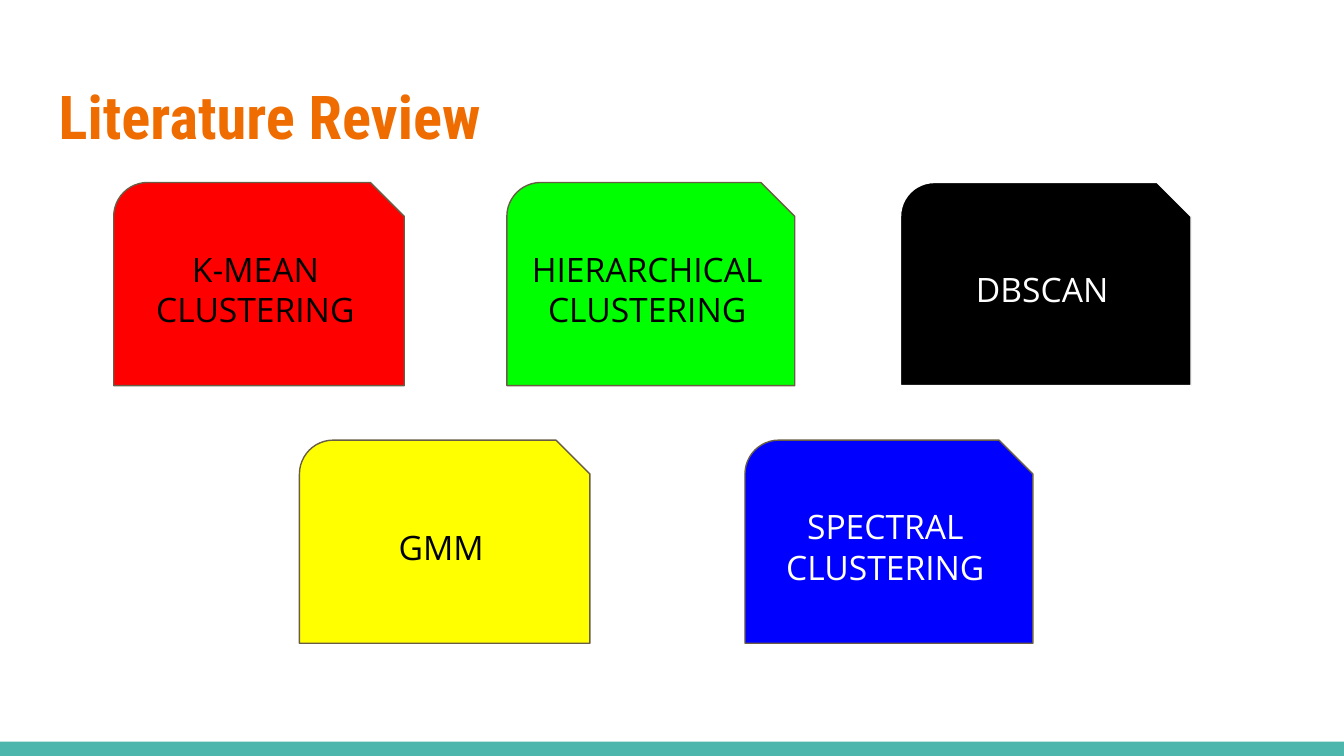
from pptx import Presentation
from pptx.dml.color import RGBColor
from pptx.enum.shapes import MSO_SHAPE as Shape
from pptx.enum.text import MSO_ANCHOR as Anchor, PP_ALIGN as Align
from pptx.util import Cm, Pt

ORANGE = RGBColor(0xEF, 0x6C, 0x00)
TEAL = RGBColor(0x4D, 0xB6, 0xAC)
BROWN = RGBColor(0x69, 0x5D, 0x46)
RED = RGBColor(0xFF, 0x00, 0x00)
GREEN = RGBColor(0x00, 0xFF, 0x00)
BLUE = RGBColor(0x00, 0x00, 0xFF)
YELLOW = RGBColor(0xFF, 0xFF, 0x00)
BLACK = RGBColor(0x00, 0x00, 0x00)
WHITE = RGBColor(0xFF, 0xFF, 0xFF)


def write(shape, text, font_name, size, color, bold=False):
    frame = shape.text_frame
    frame.word_wrap = True
    frame.margin_left = frame.margin_right = Cm(0.25)
    frame.margin_top = frame.margin_bottom = Cm(0.25)
    frame.text = text
    font = frame.paragraphs[0].runs[0].font
    font.name, font.size, font.bold = font_name, Pt(size), bold
    font.color.rgb = color
    return frame


prs = Presentation()
prs.slide_width, prs.slide_height = Cm(25.4), Cm(14.29)
slide = prs.slides.add_slide(prs.slide_layouts[6])
shapes = slide.shapes

# Footer band
footer = shapes.add_shape(Shape.RECTANGLE, 0, Cm(14.02), prs.slide_width, Cm(0.27))
footer.shadow.inherit = False
footer.fill.solid()
footer.fill.fore_color.rgb = TEAL
footer.line.fill.background()

# Title
title = shapes.add_textbox(Cm(0.86), Cm(1.24), Cm(23.67), Cm(1.96))
write(title, "Literature Review", "Roboto Condensed", 32.4, ORANGE, bold=True)

# Clustering methods: three cards above, two below
TOP_ROW, BOTTOM_ROW = 3.45, 8.32
WIDE, NARROW = 5.49, 5.44
methods = [
    ("K-MEAN CLUSTERING", 2.15, TOP_ROW, WIDE, RED, BROWN, BLACK),
    ("HIERARCHICAL CLUSTERING", 9.58, TOP_ROW, NARROW, GREEN, BROWN, BLACK),
    ("DBSCAN", 17.02, TOP_ROW, WIDE, BLACK, WHITE, WHITE),
    ("GMM", 5.66, BOTTOM_ROW, WIDE, YELLOW, BROWN, BLACK),
    ("SPECTRAL CLUSTERING", 14.08, BOTTOM_ROW, NARROW, BLUE, BROWN, WHITE),
]
for method, left, top, width, fill, outline, text_color in methods:
    card = shapes.add_shape(Shape.SNIP_ROUND_RECTANGLE,
                            Cm(left), Cm(top), Cm(width), Cm(3.84))
    card.shadow.inherit = False
    card.fill.solid()
    card.fill.fore_color.rgb = fill
    card.line.color.rgb = outline
    card.line.width = Pt(0.75)
    label = write(card, method, "Open Sans", 18, text_color)
    label.vertical_anchor = Anchor.MIDDLE
    label.paragraphs[0].alignment = Align.CENTER

prs.save("out.pptx")
